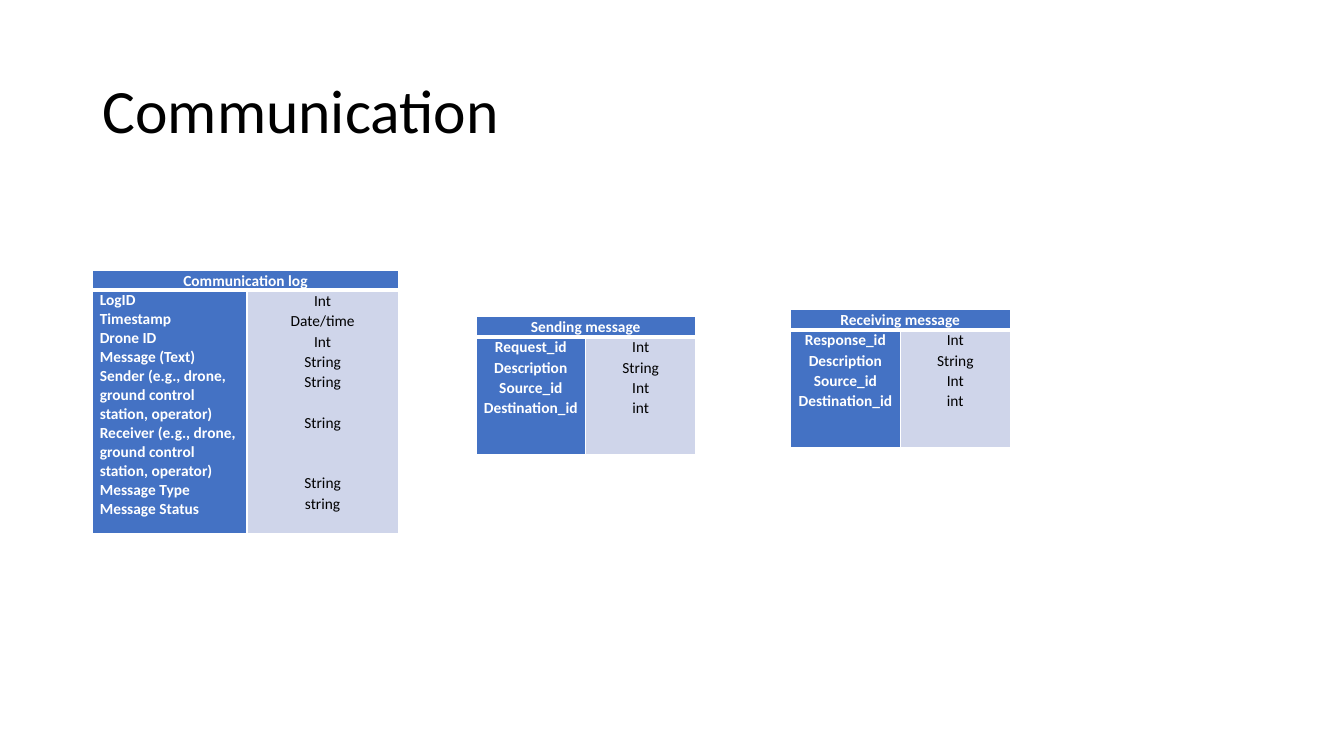
import pptx
import pptx.dml.color
import pptx.enum.text
import pptx.oxml
import pptx.oxml.ns
import pptx.util
from pptx.util import Inches

RGBColor = pptx.dml.color.RGBColor
BLUE = RGBColor(0x44, 0x72, 0xC4)
PALE = RGBColor(0xCF, 0xD5, 0xEA)
WHITE = RGBColor(0xFF, 0xFF, 0xFF)
BLACK = RGBColor(0, 0, 0)

FONT = "Calibri"
LEFT = pptx.enum.text.PP_ALIGN.LEFT
CENTER = pptx.enum.text.PP_ALIGN.CENTER
LINE_SPACING = 1.07
LINE_HEIGHT = 14.37  # points taken by one 11 pt line
HEADER_HEIGHT = 0.2

MESSAGE_TYPES = ["Int", "String", "Int", "int"]
LOG_FIELDS = [
    "LogID", "Timestamp", "Drone ID", "Message (Text)",
    "Sender (e.g., drone, ground control station, operator)",
    "Receiver (e.g., drone, ground control station, operator)",
    "Message Type Message Status",
]
LOG_TYPES = ["Int", "Date/time", "Int", "String", "String", "String", "String", "string"]
LOG_GAPS = {5: 1, 6: 2}  # lines left free above a type, by its index


def format_run(run, size, color, bold):
    run.font.name = FONT
    run.font.size = pptx.util.Pt(size)
    run.font.color.rgb = color
    run.font.bold = bold


def set_borders(cell, bottom_width):
    properties = cell._tc.get_or_add_tcPr()
    widths = {"lnL": 1, "lnR": 1, "lnT": 1, "lnB": bottom_width}
    for position, (side, width) in enumerate(widths.items()):
        border = pptx.oxml.parse_xml(
            f'<a:{side} {pptx.oxml.ns.nsdecls("a")} w="{pptx.util.Pt(width)}">'
            f'<a:solidFill><a:srgbClr val="{WHITE}"/></a:solidFill></a:{side}>')
        properties.insert(position, border)


def fill_cell(cell, lines, fill, color, bold, alignment=CENTER,
              spacing=LINE_SPACING, gaps=None, bottom_width=1):
    cell.margin_left = cell.margin_right = Inches(0.07)
    cell.margin_top = cell.margin_bottom = 0
    cell.fill.solid()
    cell.fill.fore_color.rgb = fill
    set_borders(cell, bottom_width)
    cell.text_frame.text = "\n".join(lines)
    for index, paragraph in enumerate(cell.text_frame.paragraphs):
        paragraph.alignment = alignment
        paragraph.line_spacing = spacing
        if gaps and index in gaps:
            paragraph.space_before = pptx.util.Pt(gaps[index] * LINE_HEIGHT)
        for run in paragraph.runs:
            format_run(run, 11, color, bold)


def add_entity(slide, left, top, widths, body_height, heading, fields, types,
               field_alignment=CENTER, field_spacing=LINE_SPACING, gaps=None):
    """Table with a heading over a column of fields and a column of types."""
    frame = slide.shapes.add_table(
        2, 2, Inches(left), Inches(top), Inches(sum(widths)),
        Inches(HEADER_HEIGHT + body_height))
    table = frame.table
    for column, width in zip(table.columns, widths):
        column.width = Inches(width)
    table.rows[0].height = Inches(HEADER_HEIGHT)
    table.rows[1].height = Inches(body_height)

    # Heading
    table.cell(0, 0).merge(table.cell(0, 1))
    fill_cell(table.cell(0, 0), [heading], BLUE, WHITE, True, bottom_width=3)
    set_borders(table.cell(0, 1), 3)

    # Fields and their types
    fill_cell(table.cell(1, 0), fields, BLUE, WHITE, True, field_alignment, field_spacing)
    fill_cell(table.cell(1, 1), types, PALE, BLACK, False, gaps=gaps)


def add_title(slide, left, top, width, height, text):
    box = slide.shapes.add_textbox(Inches(left), Inches(top), Inches(width), Inches(height))
    text_frame = box.text_frame
    text_frame.word_wrap = True
    text_frame.vertical_anchor = pptx.enum.text.MSO_ANCHOR.MIDDLE
    text_frame.text = text
    paragraph = text_frame.paragraphs[0]
    paragraph.line_spacing = 0.9
    format_run(paragraph.runs[0], 44, BLACK, False)


def main():
    presentation = pptx.Presentation()
    presentation.slide_width = Inches(13.33)
    presentation.slide_height = Inches(7.5)
    slide = presentation.slides.add_slide(presentation.slide_layouts[6])

    # Message tables
    for left, top, heading, key in [
        (4.72, 3.14, "Sending message", "Request_id"),
        (7.84, 3.07, "Receiving message", "Response_id"),
    ]:
        fields = [key, "Description", "Source_id", "Destination_id"]
        add_entity(slide, left, top, (1.09, 1.09), 1.17, heading, fields, MESSAGE_TYPES)

    add_title(slide, 0.92, 0.4, 11.5, 1.45, "Communication")

    # Log table
    add_entity(slide, 0.92, 2.68, (1.53, 1.5), 2.41, "Communication log",
               LOG_FIELDS, LOG_TYPES, LEFT, 1.0, LOG_GAPS)

    presentation.save("out.pptx")


if __name__ == "__main__":
    main()
